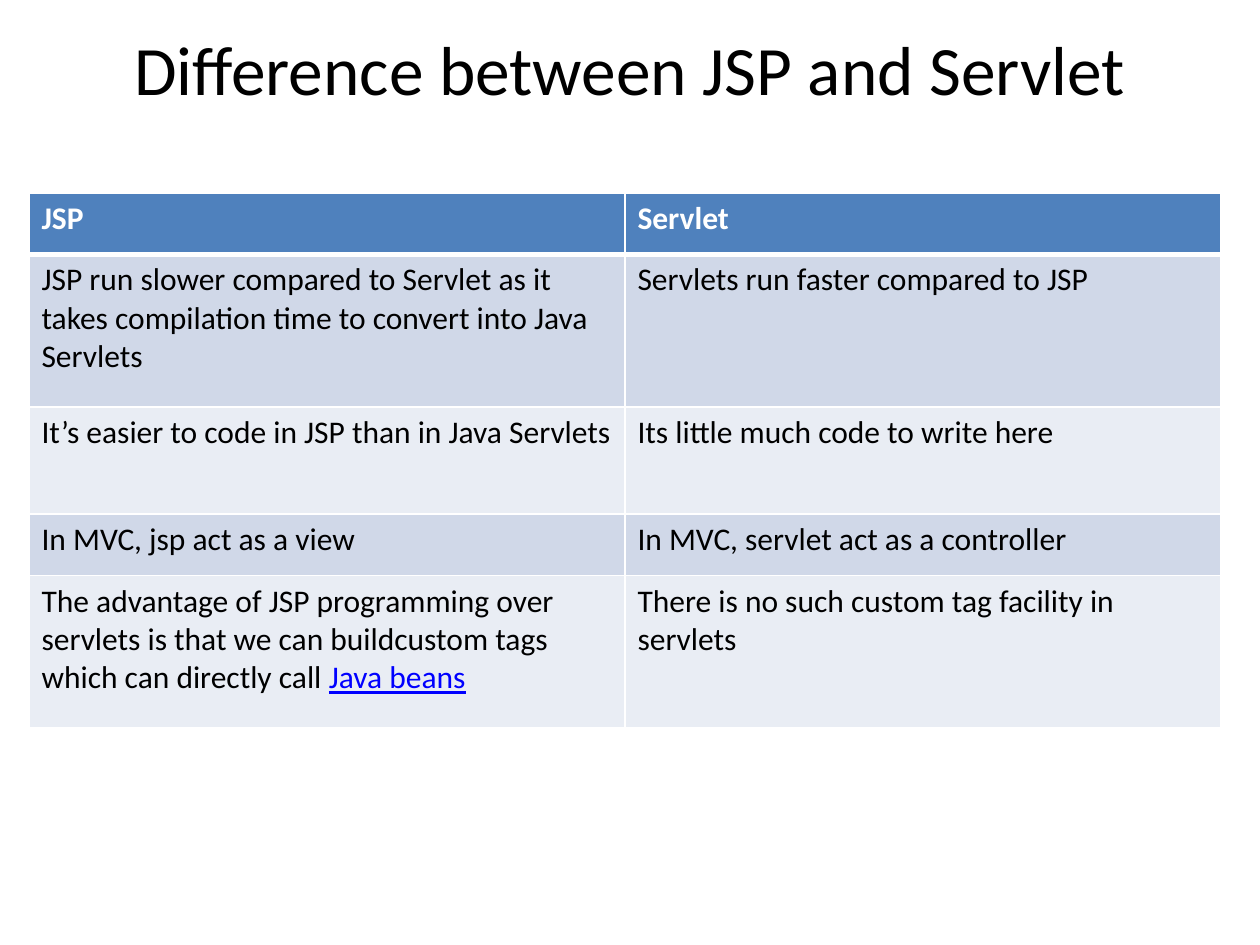
from lxml import etree
from pptx import Presentation
from pptx.dml.color import RGBColor
from pptx.enum import text
from pptx.oxml import ns
from pptx.util import Inches, Pt

# Content: each cell is a list of runs; the second run is styled as a link
TITLE = "Difference between JSP and Servlet"
ROWS = [
    (["JSP"], ["Servlet"]),
    (["JSP run slower compared to Servlet as it takes compilation time to convert into Java Servlets"],
     ["Servlets run faster compared to JSP"]),
    (["It’s easier to code in JSP than in Java Servlets"],
     ["Its little much code to write here"]),
    (["In MVC, jsp act as a view"], ["In MVC, servlet act as a controller"]),
    (["The advantage of JSP programming over servlets is that we can buildcustom "
      "tags which can directly call ", "Java beans"],
     ["There is no such custom tag facility in servlets"]),
]
ROW_HEIGHTS = [0.49, 1.21, 0.85, 0.49, 1.21]
COLUMN_WIDTH = 4.73
FONT = "Calibri"
HEADER_FILL, BANDS = "4F81BD", ("D0D8E8", "E9EDF4")
WHITE, BLACK, LINK = "FFFFFF", "000000", "0000FF"


def color(value):
    return RGBColor.from_string(value)


def style(font, size, value, bold=False):
    font.name, font.size, font.bold = FONT, Pt(size), bold
    font.color.rgb = color(value)


def add_borders(cell, widths):
    properties = cell._tc.get_or_add_tcPr()
    for index, (side, width) in enumerate(widths.items()):
        line = etree.Element(ns.qn(f"a:ln{side}"), w=str(Pt(width)))
        fill = etree.SubElement(line, ns.qn("a:solidFill"))
        etree.SubElement(fill, ns.qn("a:srgbClr"), val=WHITE)
        properties.insert(index, line)


presentation = Presentation()
presentation.slide_width, presentation.slide_height = Inches(10), Inches(7.5)
slide = presentation.slides.add_slide(presentation.slide_layouts[6])

# Title
title = slide.shapes.add_textbox(Inches(0.5), Inches(0.3), Inches(9), Inches(0.48))
frame = title.text_frame
frame.word_wrap = True
frame.vertical_anchor = text.MSO_ANCHOR.MIDDLE
paragraph = frame.paragraphs[0]
paragraph.text = TITLE
paragraph.alignment = text.PP_ALIGN.CENTER
style(paragraph.font, 39.6, BLACK)

# Comparison table
table = slide.shapes.add_table(
    len(ROWS), 2, Inches(0.23), Inches(1.53),
    Inches(2 * COLUMN_WIDTH), Inches(sum(ROW_HEIGHTS))).table
for column in table.columns:
    column.width = Inches(COLUMN_WIDTH)

for row, (contents, height) in enumerate(zip(ROWS, ROW_HEIGHTS)):
    table.rows[row].height = Inches(height)
    header = row == 0
    for column, runs in enumerate(contents):
        cell = table.cell(row, column)
        cell.fill.solid()
        cell.fill.fore_color.rgb = color(HEADER_FILL if header else BANDS[(row - 1) % 2])
        add_borders(cell, {"L": 1, "R": 1, "T": 3 if row == 1 else 1, "B": 3 if header else 1})
        paragraph = cell.text_frame.paragraphs[0]
        for index, words in enumerate(runs):
            run = paragraph.add_run()
            run.text = words
            style(run.font, 18, LINK if index else WHITE if header else BLACK, header)
            run.font.underline = index > 0

presentation.save("out.pptx")
